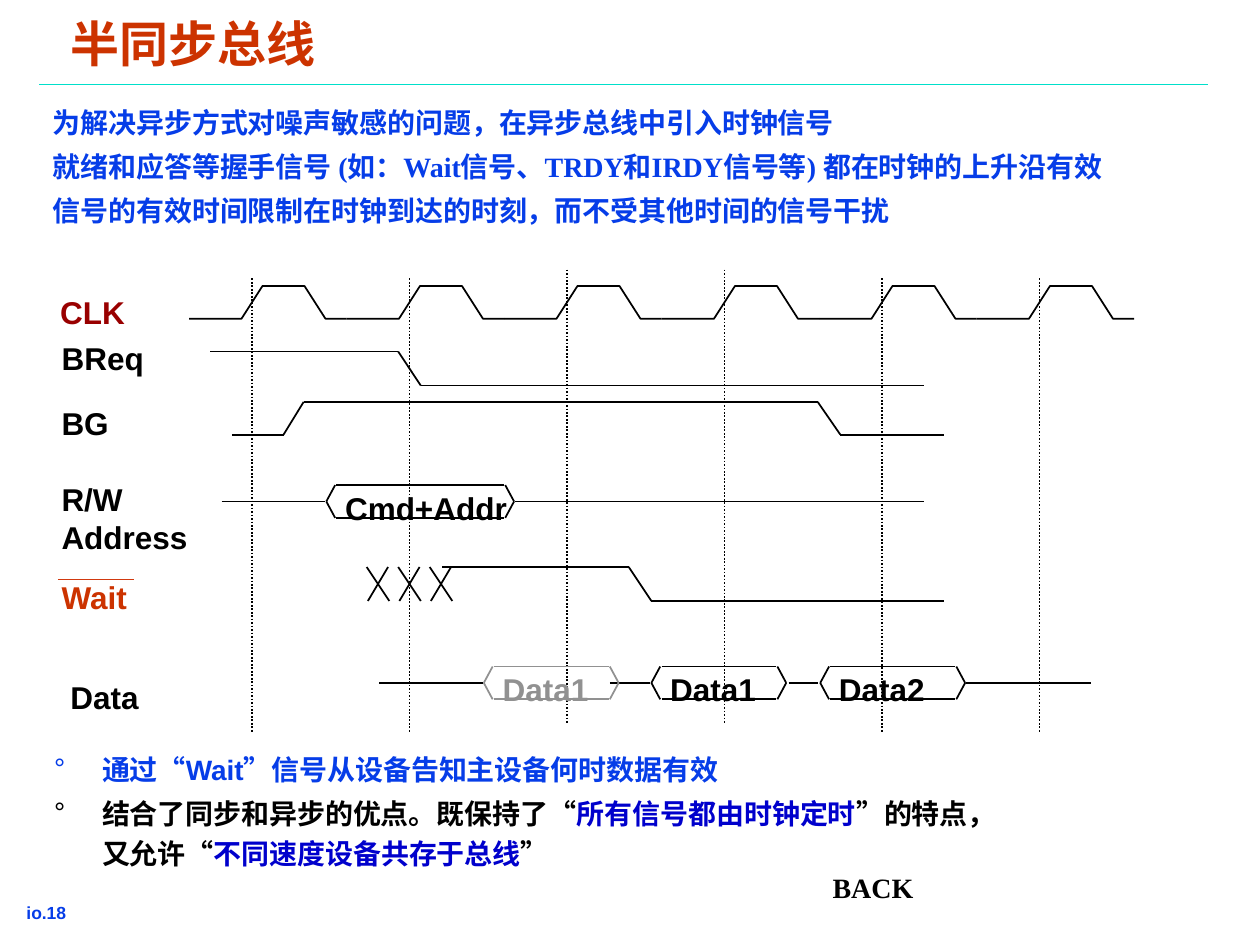
from collections import namedtuple
from itertools import pairwise
from lxml.etree import SubElement
from pptx import Presentation
from pptx.dml.color import RGBColor
from pptx.enum.dml import MSO_LINE
from pptx.enum.shapes import MSO_CONNECTOR
from pptx.enum.text import MSO_ANCHOR, MSO_AUTO_SIZE, PP_ALIGN
from pptx.oxml.ns import qn
from pptx.util import Inches, Pt

Box = namedtuple("Box", "left top width height")
COLORS = {
    "black": "000000", "blue": "063DE8", "navy": "0000CC", "red": "CC3300",
    "overline": "D1390F", "maroon": "990000", "gray": "919191", "rule": "00DFCA",
}
SANS, SERIF = "Arial", "Times New Roman"


def color(name):
    return RGBColor.from_string(COLORS[name])


def style(r, size, name, font=SANS):
    r.font.size, r.font.bold, r.font.name = Pt(size), True, font
    r.font.color.rgb = color(name)


def place(sp, box):
    sp.left, sp.top, sp.width, sp.height = (Inches(v) for v in box)


def frame(sp, inset_x, inset_y, wrap=True):
    tf = sp.text_frame
    tf.word_wrap, tf.auto_size = wrap, MSO_AUTO_SIZE.NONE
    tf.vertical_anchor = MSO_ANCHOR.TOP
    tf.margin_left = tf.margin_right = Inches(inset_x)
    tf.margin_top = tf.margin_bottom = Inches(inset_y)
    return tf


def add_text(s, box, text, size=18, name="black", font=SANS, wrap=False, inset=(0.1, 0.05)):
    sp = s.shapes.add_textbox(*(Inches(v) for v in box))
    tf = frame(sp, *inset, wrap)
    tf.text = text
    for p in tf.paragraphs:
        style(p.runs[0], size, name, font)
    return tf


def add_line(s, start, end, name="black", dash=None):
    line = s.shapes.add_connector(
        MSO_CONNECTOR.STRAIGHT, *(Inches(v) for v in (*start, *end)))
    line.line.color.rgb, line.line.width = color(name), Pt(1)
    if dash:
        line.line.dash_style = dash
    SubElement(line._element.spPr, qn("a:effectLst"))


def add_title(s, box):
    place(s.shapes.title, box)
    tf = frame(s.shapes.title, 0.07, 0.03)
    tf.text = "半同步总线"
    p = tf.paragraphs[0]
    p.alignment, p.line_spacing = PP_ALIGN.LEFT, 0.87
    style(p.runs[0], 28, "red")


def add_intro(s, box):
    lines = [
        "为解决异步方式对噪声敏感的问题，在异步总线中引入时钟信号",
        "就绪和应答等握手信号 (如：Wait信号、TRDY和IRDY信号等) 都在时钟的上升沿有效",
        "信号的有效时间限制在时钟到达的时刻，而不受其他时间的信号干扰",
    ]
    tf = add_text(s, box, "\n".join(lines), 16, "blue", SERIF, True)
    for i, p in enumerate(tf.paragraphs):
        p.line_spacing, p.space_before = 1.15, Pt(3 if i else 0)


def add_summary(s, box):
    items = [
        [("通过“Wait”信号从设备告知主设备何时数据有效", "blue")],
        [("结合了同步和异步的优点。既保持了“", "black"), ("所有信号都由时钟定时", "navy"),
         ("”的特点，又允许“", "black"), ("不同速度设备共存于总线", "navy"), ("”", "black")],
    ]
    body = s.placeholders[1]
    place(body, box)
    tf = frame(body, 0.07, 0.03)
    for i, item in enumerate(items):
        p = tf.paragraphs[0] if i == 0 else tf.add_paragraph()
        pPr = p._p.get_or_add_pPr()
        pPr.set("marL", str(Inches(0.38)))
        pPr.set("indent", str(Inches(-0.38)))
        SubElement(SubElement(pPr, qn("a:buClr")), qn("a:srgbClr"), val=COLORS[item[0][1]])
        SubElement(pPr, qn("a:buFont"), typeface=SANS)
        SubElement(pPr, qn("a:buChar"), char="°")
        p.line_spacing, p.space_before = 1.2, Pt(2 if i else 0)
        for text, name in item:
            r = p.add_run()
            r.text = text
            style(r, 16, name)


def add_labels(s, box):
    labels = [
        ("CLK", -0.01, 0, 0.97, "maroon"), ("BReq", 0, 0.36, 0.85, "black"),
        ("BG", 0, 0.88, 0.57, "black"), ("R/W\nAddress", 0, 1.48, 1.2, "black"),
        ("Wait", 0, 2.26, 0.73, "red"), ("Data", 0.07, 3.05, 0.74, "black"),
    ]
    for text, x, y, width, name in labels:
        height = 0.7 if "\n" in text else 0.4
        add_text(s, Box(box.left + x, box.top + y, width, height), text, name=name)
    y = box.top + 2.32
    add_line(s, (box.left + 0.07, y), (box.left + 0.67, y), "overline")


def add_clock_cycle(s, box):
    points = [(0, 1), (1 / 3, 1), (7 / 15, 0), (11 / 15, 0), (13 / 15, 1), (1, 1)]
    points = [(Inches(box.left + x * box.width), Inches(box.top + y * box.height))
              for x, y in points]
    builder = s.shapes.build_freeform(*points[0])
    builder.add_line_segments(points[1:], close=False)
    sp = builder.convert_to_shape()
    sp.shadow.inherit = False
    sp.fill.background()
    sp.line.color.rgb, sp.line.width = color("black"), Pt(1)


def add_bus_cell(s, box, text, name):
    left, right = box.left, box.left + box.width
    top, middle, bottom = box.top, box.top + box.height / 2, box.top + box.height
    for y in (top, bottom):
        add_line(s, (left, middle), (left + 0.07, y), name)
        add_line(s, (left + 0.08, y), (right - 0.08, y), name)
        add_line(s, (right - 0.07, y), (right, middle), name)
    width = 1.48 if len(text) > 5 else 0.88
    add_text(s, Box(left + 0.05, top - 0.02, width, 0.4), text, name=name)


def add_timing(s, box):
    cycles = 6
    period = box.width / cycles

    def trace(*points):
        for a, b in pairwise([(box.left + x, box.top + y) for x, y in points]):
            add_line(s, a, b)

    for i in range(cycles):
        x = box.left + i * period
        add_clock_cycle(s, Box(x, box.top + 0.13, period, 0.26))
        top = box.top + (0 if i in (2, 3) else 0.07)
        add_line(s, (x + 0.5, top), (x + 0.5, top + 3.6), dash=MSO_LINE.ROUND_DOT)

    trace((0.17, 0.65), (1.66, 0.65), (1.84, 0.92), (5.83, 0.92))
    trace((0.34, 1.31), (0.75, 1.31), (0.91, 1.05), (4.99, 1.05), (5.17, 1.31), (5.99, 1.31))
    trace((2.01, 2.36), (3.49, 2.36), (3.67, 2.63), (5.99, 2.63))
    for x in (1.41, 1.66, 1.91):
        trace((x, 2.36), (x + 0.18, 2.63))
        trace((x + 0.01, 2.63), (x + 0.17, 2.36))

    command_y, data_y = 1.84, 3.28
    for y, start, end in [
        (command_y, 0.26, 1.08), (command_y, 2.59, 5.83), (data_y, 1.51, 2.33),
        (data_y, 3.34, 3.66), (data_y, 4.76, 4.99), (data_y, 6.17, 7.16),
    ]:
        trace((start, y), (end, y))
    for text, x, y, width, name in [
        ("Cmd+Addr", 1.09, command_y, 1.49, "black"), ("Data1", 2.34, data_y, 1.07, "gray"),
        ("Data1", 3.67, data_y, 1.07, "black"), ("Data2", 5.01, data_y, 1.15, "black"),
    ]:
        add_bus_cell(s, Box(box.left + x, box.top + y - 0.13, width, 0.26), text, name)


def main():
    prs = Presentation()
    prs.slide_width, prs.slide_height = Inches(10), Inches(7.5)
    s = prs.slides.add_slide(prs.slide_layouts[1])
    add_line(s, (0.31, 0.67), (9.59, 0.67), "rule")
    add_title(s, Box(0.49, 0.14, 2.69, 0.46))
    add_intro(s, Box(0.32, 0.75, 9.21, 1.11))
    add_timing(s, Box(1.5, 2.14, 7.5, 3.67))
    add_labels(s, Box(0.39, 2.28, 1.2, 3.45))
    add_summary(s, Box(0.36, 5.89, 7.55, 1.05))
    add_text(s, Box(6.51, 6.86, 1.75, 0.37), "BACK", 16, font=SERIF, wrap=True)
    add_text(s, Box(0.14, 7.13, 0.97, 0.22), "io.18", 10, "blue", wrap=True, inset=(0.07, 0.03))
    prs.save("out.pptx")


if __name__ == "__main__":
    main()
